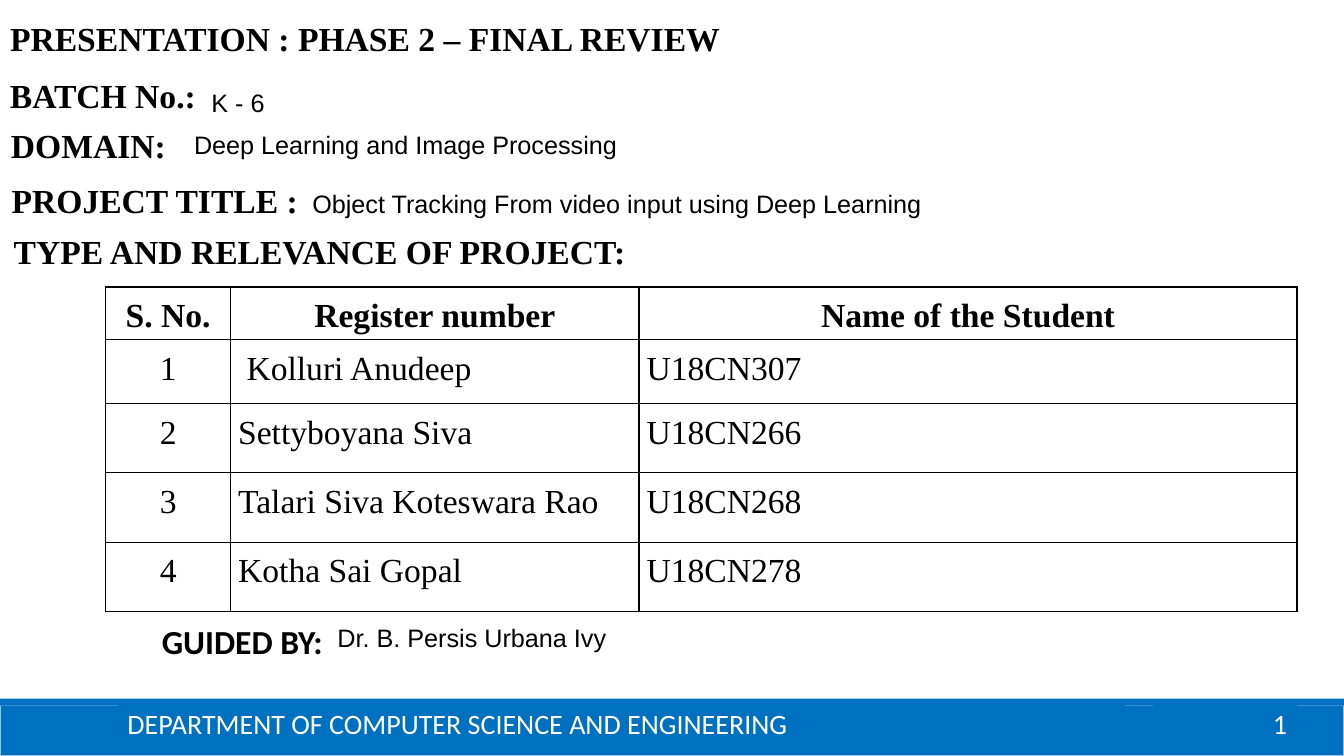
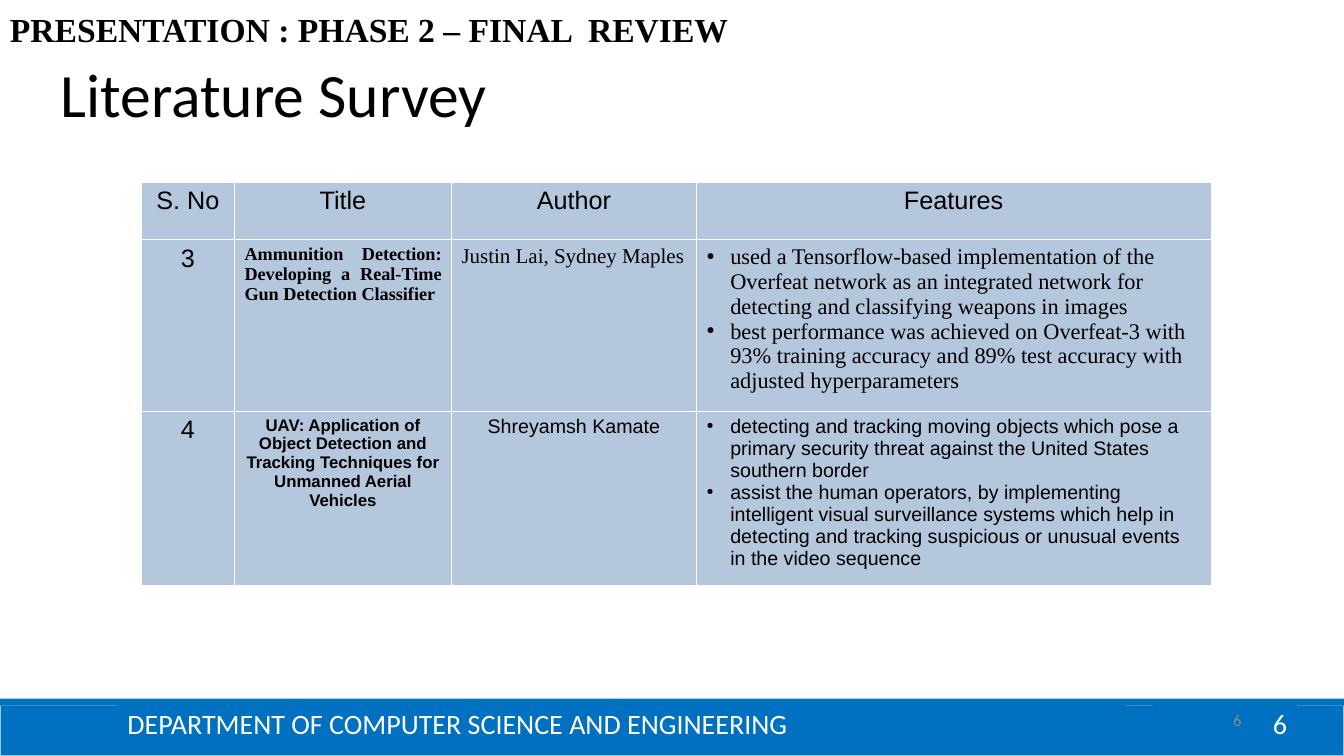
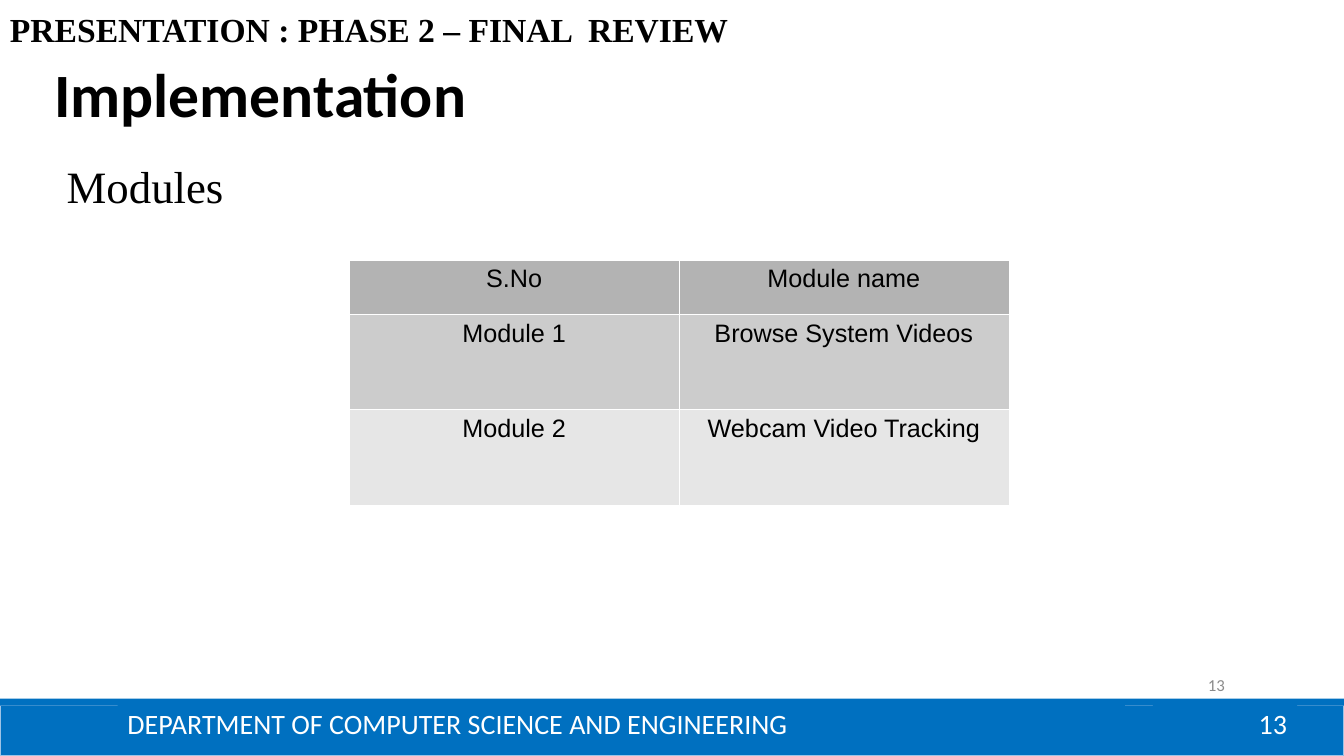
"""Build three project review slides with a shared footer, titles and tables."""
import dataclasses
from typing import Any

import lxml.etree
import pptx
import pptx.dml.color
import pptx.enum.shapes
import pptx.enum.text
import pptx.oxml.ns
import pptx.util

Pt = pptx.util.Pt
RGBColor = pptx.dml.color.RGBColor
Align = pptx.enum.text.PP_ALIGN
Anchor = pptx.enum.text.MSO_ANCHOR
qn = pptx.oxml.ns.qn

BLACK = RGBColor(0x00, 0x00, 0x00)
WHITE = RGBColor(0xFF, 0xFF, 0xFF)
BLUE = RGBColor(0x00, 0x70, 0xC0)
PALE_BLUE = RGBColor(0x9D, 0xC3, 0xE6)
STEEL = RGBColor(0xB4, 0xC7, 0xDC)
MUTED = RGBColor(0x8B, 0x8B, 0x8B)
GREYS = [RGBColor(shade, shade, shade) for shade in (0xB3, 0xCC, 0xE6)]
SERIF, SANS, CALIBRI = "Times New Roman", "Arial", "Calibri"
WIDTH, HEIGHT = 960, 540


@dataclasses.dataclass(frozen=True)
class Style:
    """Character and paragraph format."""
    font: str
    size: float
    bold: bool = False
    color: RGBColor = BLACK
    align: Any = Align.LEFT
    spacing: float = 1.0
    bullet: bool = False


@dataclasses.dataclass(frozen=True)
class Frame:
    """Place and size in points."""
    left: float
    top: float
    width: float
    height: float

    def lengths(self) -> tuple[int, ...]:
        """Return the four lengths for python-pptx."""
        return tuple(Pt(value) for value in dataclasses.astuple(self))


@dataclasses.dataclass(frozen=True)
class Label:
    """Text in a frame."""
    text: str
    frame: Frame
    style: Style
    anchor: Any = Anchor.TOP


@dataclasses.dataclass(frozen=True)
class Entry:
    """Text of one table cell."""
    text: str
    style: Style


@dataclasses.dataclass(frozen=True)
class Grid:
    """Table with its measures, row fills and border."""
    left: float
    top: float
    columns: list[float]
    rows: list[float]
    entries: list[list[Entry]]
    fills: list[RGBColor | None]
    border: RGBColor
    border_width: float
    side_inset: float = 7.2


HEADING = Style(SERIF, 24, bold=True)
VALUE = Style(SANS, 18)
TITLE = Style(CALIBRI, 44, spacing=0.9)
FOOTER = Style(CALIBRI, 20, color=WHITE)
FOOTER_NUMBER = dataclasses.replace(FOOTER, align=Align.RIGHT)
SMALL_NUMBER = Style(CALIBRI, 12, color=MUTED, align=Align.RIGHT)
CENTRED = dataclasses.replace(VALUE, align=Align.CENTER)
STUDENT = Style(SERIF, 24, align=Align.JUSTIFY, spacing=1.15)
STUDENT_NUMBER = dataclasses.replace(STUDENT, align=Align.CENTER)
STUDENT_HEAD = dataclasses.replace(STUDENT_NUMBER, bold=True)


def add_bullet(para: Any) -> None:
    """Give a paragraph a small black round bullet with a hanging indent."""
    properties = para._p.get_or_add_pPr()
    properties.set("marL", str(Pt(17)))
    properties.set("indent", str(-Pt(17)))
    color = lxml.etree.SubElement(properties, qn("a:buClr"))
    lxml.etree.SubElement(color, qn("a:srgbClr"), val=str(BLACK))
    lxml.etree.SubElement(properties, qn("a:buSzPct"), val="45000")
    lxml.etree.SubElement(properties, qn("a:buChar"), char="●")


def write(text_frame: Any, text: str, style: Style) -> None:
    """Set text, one paragraph a line, and format it."""
    text_frame.text = text
    for para in text_frame.paragraphs:
        para.alignment = style.align
        para.line_spacing = style.spacing
        if style.bullet:
            add_bullet(para)
        for span in para.runs:
            span.font.name = style.font
            span.font.size = Pt(style.size)
            span.font.bold = style.bold
            span.font.color.rgb = style.color


def fill_label(shape: Any, label: Label) -> None:
    """Write a label into a shape that holds text."""
    text_frame = shape.text_frame
    text_frame.word_wrap = True
    text_frame.auto_size = pptx.enum.text.MSO_AUTO_SIZE.NONE
    text_frame.vertical_anchor = label.anchor
    write(text_frame, label.text, label.style)


def add_label(page: Any, label: Label) -> None:
    """Add a text box."""
    fill_label(page.shapes.add_textbox(*label.frame.lengths()), label)


def set_title(page: Any, label: Label) -> None:
    """Move and format the title placeholder."""
    title = page.shapes.title
    title.left, title.top, title.width, title.height = label.frame.lengths()
    fill_label(title, label)


def add_bar(page: Any, frame: Frame, line: RGBColor | None = None) -> Any:
    """Add a blue rectangle."""
    bar = page.shapes.add_shape(
        pptx.enum.shapes.MSO_SHAPE.RECTANGLE, *frame.lengths())
    bar.shadow.inherit = False
    bar.fill.solid()
    bar.fill.fore_color.rgb = BLUE
    if line is None:
        bar.line.fill.background()
    else:
        bar.line.color.rgb = line
        bar.line.width = Pt(0.75)
    return bar


def add_master_bands(deck: Any, page: Any) -> None:
    """Put the footer bands on the slide master."""
    bands = [add_bar(page, Frame(0, 504, WIDTH, 36), PALE_BLUE),
             add_bar(page, Frame(0, 499, WIDTH, 5))]
    tree = deck.slide_master.element.cSld.spTree
    for index, band in enumerate(bands):
        band.element.nvSpPr.cNvPr.id = 101 + index
        tree.insert(2 + index, band.element)


def add_footer(page: Any, number: int) -> None:
    """Add the department name and the page number."""
    labels = [
        Label(str(number), Frame(823.5, 502.5, 103, 28), FOOTER_NUMBER, Anchor.MIDDLE),
        Label("DEPARTMENT OF COMPUTER SCIENCE AND ENGINEERING",
              Frame(84, 502.5, 719.5, 28), FOOTER, Anchor.MIDDLE)]
    for label in labels:
        fill_label(add_bar(page, label.frame), label)


def add_borders(cell: Any, color: RGBColor, width: float) -> None:
    """Draw the four borders of a cell."""
    properties = cell._tc.get_or_add_tcPr()
    for side in ("a:lnL", "a:lnR", "a:lnT", "a:lnB"):
        line = lxml.etree.SubElement(properties, qn(side), w=str(Pt(width)))
        fill = lxml.etree.SubElement(line, qn("a:solidFill"))
        lxml.etree.SubElement(fill, qn("a:srgbClr"), val=str(color))


def add_grid(page: Any, grid: Grid) -> None:
    """Add a table."""
    frame = Frame(grid.left, grid.top, sum(grid.columns), sum(grid.rows))
    table = page.shapes.add_table(
        len(grid.rows), len(grid.columns), *frame.lengths()).table
    table.first_row = table.horz_banding = False
    for column, width in zip(table.columns, grid.columns):
        column.width = Pt(width)
    for row, height, entries, fill in zip(
            table.rows, grid.rows, grid.entries, grid.fills):
        row.height = Pt(height)
        for cell, entry in zip(row.cells, entries):
            cell.margin_left = cell.margin_right = Pt(grid.side_inset)
            write(cell.text_frame, entry.text, entry.style)
            add_borders(cell, grid.border, grid.border_width)
            if fill is None:
                cell.fill.background()
            else:
                cell.fill.solid()
                cell.fill.fore_color.rgb = fill


def entry_row(texts: list[str], *styles: Style) -> list[Entry]:
    """Pair texts with styles; the last style serves the rest."""
    return [Entry(text, styles[min(index, len(styles) - 1)])
            for index, text in enumerate(texts)]


def add_page(deck: Any, number: int, title: Label) -> Any:
    """Add a slide with its footer and title."""
    page = deck.slides.add_slide(deck.slide_layouts[5])
    add_footer(page, number)
    set_title(page, title)
    return page


def add_topic_page(deck: Any, number: int, title: Label, number_frame: Frame) -> Any:
    """Add a slide with the review heading and a small number."""
    page = add_page(deck, number, title)
    add_label(page, Label("PRESENTATION : PHASE 2 – FINAL  REVIEW",
                          Frame(0, 3, 749, 36), HEADING, Anchor.MIDDLE))
    add_label(page, Label(str(number), number_frame, SMALL_NUMBER, Anchor.MIDDLE))
    return page


def build_project(deck: Any) -> None:
    """Build the project details slide."""
    page = add_page(deck, 1, Label("PRESENTATION : PHASE 2 – FINAL REVIEW",
                                   Frame(0, 9.5, 553, 36), HEADING, Anchor.MIDDLE))
    add_master_bands(deck, page)
    students = [("\u00a0Kolluri Anudeep", "U18CN307"),
                ("Settyboyana Siva", "U18CN266"),
                ("Talari Siva Koteswara Rao", "U18CN268"),
                ("Kotha Sai Gopal", "U18CN278")]
    entries = [entry_row(["S. No.", "Register number", "Name of the Student"],
                         STUDENT_HEAD)]
    entries += [entry_row([str(index), *student], STUDENT_NUMBER, STUDENT)
                for index, student in enumerate(students, 1)]
    add_grid(page, Grid(75.5, 205, [89.25, 291.75, 470], [37, 45.5, 49.5, 49.5, 49.5],
                        entries, [None] * 5, BLACK, 0.96, 5.4))
    guide = dataclasses.replace(HEADING, font=CALIBRI)
    for label in [
            Label("GUIDED BY:", Frame(108.5, 440, 135.5, 36), guide),
            Label("BATCH No.:", Frame(0, 50, 284, 36), HEADING, Anchor.MIDDLE),
            Label("DOMAIN:", Frame(0.75, 86, 131, 36), HEADING),
            Label("PROJECT TITLE :", Frame(1.25, 125, 225, 36), HEADING),
            Label("TYPE AND RELEVANCE OF PROJECT:", Frame(2.75, 161.5, 457, 36), HEADING),
            Label("K - 6", Frame(144, 58.5, 108, 27), VALUE),
            Label("Deep Learning and Image Processing",
                  Frame(131.5, 88.5, 444, 27), VALUE),
            Label("Object Tracking From video input using Deep Learning",
                  Frame(216, 131, 666, 27), VALUE),
            Label("Dr. B. Persis Urbana Ivy", Frame(234, 440.75, 432, 27), VALUE)]:
        add_label(page, label)


def build_survey(deck: Any) -> None:
    """Build the literature survey slide."""
    page = add_topic_page(
        deck, 6, Label("Literature Survey", Frame(36, 18, 828, 104), TITLE, Anchor.MIDDLE),
        Frame(678, 500.5, 216, 28))
    entries = [
        entry_row(["S. No", "Title", "Author", "Features"], CENTRED),
        entry_row(
            ["3",
             "Ammunition Detection: Developing a Real-Time Gun Detection Classifier",
             "Justin Lai, Sydney Maples",
             "used a Tensorflow-based implementation of the Overfeat network as an "
             "integrated network for detecting and classifying weapons in images\n"
             "best performance was achieved on Overfeat-3 with 93% training accuracy "
             "and 89% test accuracy with adjusted hyperparameters"],
            CENTRED,
            Style(SERIF, 13, bold=True, align=Align.JUSTIFY),
            Style(SERIF, 15, align=Align.JUSTIFY),
            Style(SERIF, 16, bullet=True)),
        entry_row(
            ["4",
             "UAV: Application of Object Detection and Tracking Techniques for "
             "Unmanned Aerial Vehicles",
             "Shreyamsh Kamate",
             "detecting and tracking moving objects which pose a primary security "
             "threat against the United States southern border\n"
             "assist the human operators, by implementing intelligent visual "
             "surveillance systems which help in detecting and tracking suspicious "
             "or unusual events in the video sequence"],
            CENTRED,
            Style(SANS, 12, bold=True, align=Align.CENTER),
            Style(SANS, 14, align=Align.CENTER),
            Style(SANS, 14, bullet=True))]
    add_grid(page, Grid(101, 130, [66.5, 155, 175, 367.5], [41, 122.5, 124.5],
                        entries, [STEEL] * 3, WHITE, 0.06))


def build_implementation(deck: Any) -> None:
    """Build the implementation modules slide."""
    bold_title = dataclasses.replace(TITLE, bold=True)
    page = add_topic_page(
        deck, 13,
        Label("Implementation", Frame(31.5, 18, 828, 104), bold_title, Anchor.MIDDLE),
        Frame(666, 475.5, 216, 28))
    add_label(page, Label("Modules", Frame(40.5, 110, 445, 42.5), Style(SERIF, 32)))
    entries = [entry_row(texts, CENTRED) for texts in (
        ["S.No", "Module name"],
        ["Module 1", "Browse System Videos"],
        ["Module 2", "Webcam Video Tracking"])]
    add_grid(page, Grid(249.5, 185.5, [235.5] * 2, [39, 68, 68],
                        entries, GREYS, WHITE, 0.06))


def main() -> None:
    """Build and save the deck."""
    deck = pptx.Presentation()
    deck.slide_width, deck.slide_height = Pt(WIDTH), Pt(HEIGHT)
    for build in (build_project, build_survey, build_implementation):
        build(deck)
    deck.save("out.pptx")


main()
